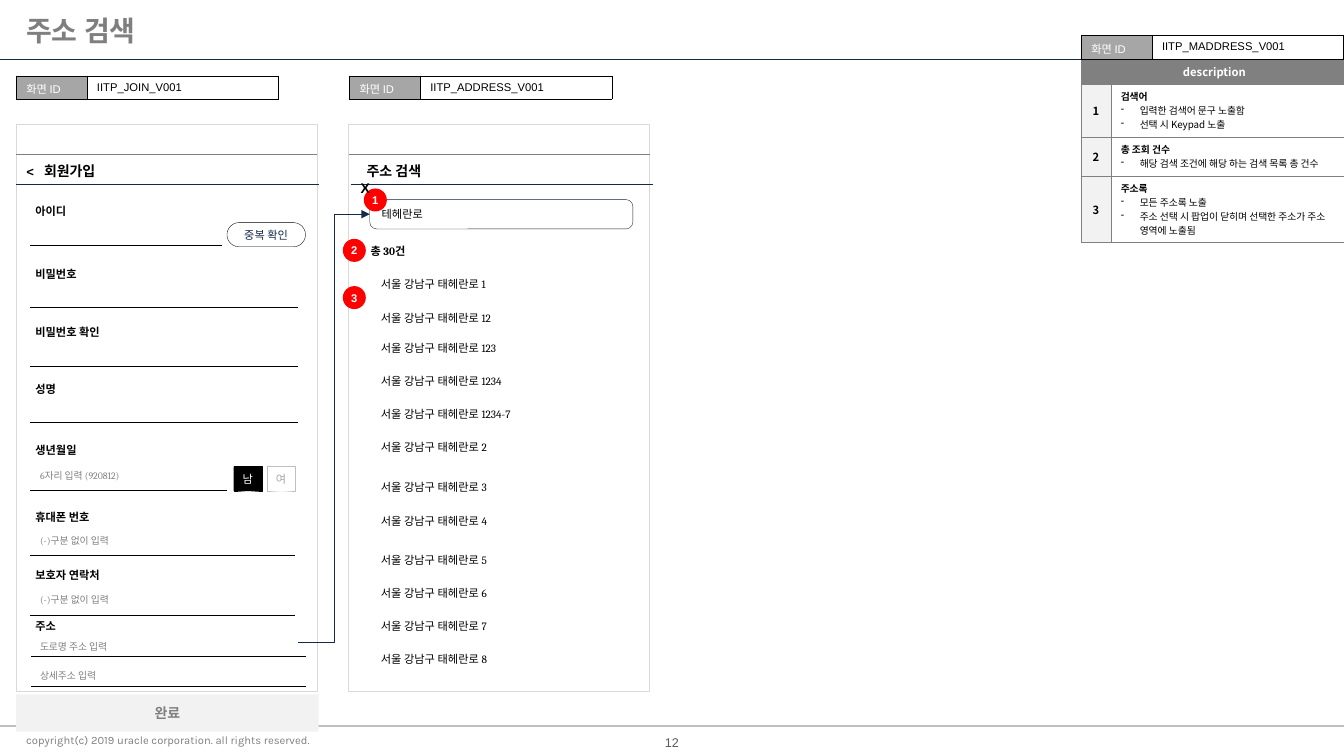
import pptx
import pptx.util
import pptx.dml.color
import pptx.enum.shapes
import pptx.enum.text
import pptx.oxml
import pptx.oxml.ns
from lxml import etree

Cm, Pt, RGB = pptx.util.Cm, pptx.util.Pt, pptx.dml.color.RGBColor
SHAPE = pptx.enum.shapes.MSO_SHAPE
CONNECTOR = pptx.enum.shapes.MSO_CONNECTOR
LEFT, CENTER = pptx.enum.text.PP_ALIGN.LEFT, pptx.enum.text.PP_ALIGN.CENTER
TOP, MIDDLE = pptx.enum.text.MSO_ANCHOR.TOP, pptx.enum.text.MSO_ANCHOR.MIDDLE
qn = pptx.oxml.ns.qn

BLACK, WHITE, RED = RGB(0, 0, 0), RGB(255, 255, 255), RGB(255, 0, 0)
NAVY, DEEP_NAVY, BUTTON_NAVY = RGB(0x15, 0x2A, 0x4B), RGB(0x11, 0x20, 0x37), RGB(0x17, 0x2B, 0x4B)
GRAY, TITLE_GRAY, NUMBER_GRAY = RGB(0x80, 0x80, 0x80), RGB(0x7F, 0x7F, 0x7F), RGB(0x59, 0x59, 0x59)
MID_GRAY, SOFT_GRAY = RGB(0xA6, 0xA6, 0xA6), RGB(0xBF, 0xBF, 0xBF)
PANEL_GRAY, PALE_GRAY = RGB(0xD9, 0xD9, 0xD9), RGB(0xF2, 0xF2, 0xF2)

KOREAN = "Noto Sans CJK KR"
TITLE = dict(name="Quicksand", size=Pt(20), bold=True)
HEADING = dict(name="Cambria", size=Pt(10), bold=True)
CLOSE = dict(name="Arial", size=Pt(10), bold=True)
LABEL = dict(name="Cambria", size=Pt(8), bold=True)
BODY = dict(name="Cambria", size=Pt(8), bold=False)
HINT = dict(name="Cambria", size=Pt(7), bold=False)
MARK = dict(name="Arial", size=Pt(8), bold=True)
SCREEN_ID = dict(name="Arial", size=Pt(8), bold=False)
PAGE = dict(name="Arial", size=Pt(9), bold=False)
COPYRIGHT = dict(name="Karla", size=Pt(8), bold=False)
NOTE_HEAD = dict(name=KOREAN, size=Pt(8), bold=True)
NOTE_TITLE = dict(name=KOREAN, size=Pt(7), bold=True)
NOTE = dict(name=KOREAN, size=Pt(7), bold=False)

deck = pptx.Presentation()
deck.slide_width, deck.slide_height = Cm(33.87), Cm(19.05)
slide = deck.slides.add_slide(deck.slide_layouts[6])


def write(paragraph, text, style, colour, align=LEFT):
    paragraph.alignment = align
    run = paragraph.add_run()
    run.text = text
    for attribute, value in style.items():
        setattr(run.font, attribute, value)
    run.font.color.rgb = colour
    etree.SubElement(run.font._element, qn("a:ea"), typeface=KOREAN)


def add_line(x1, y1, x2, y2, colour, width, kind=CONNECTOR.STRAIGHT):
    line = slide.shapes.add_connector(kind, Cm(x1), Cm(y1), Cm(x2), Cm(y2))
    line.line.color.rgb = colour
    line.line.width = Pt(width)
    etree.SubElement(line._element.spPr, qn("a:effectLst"))
    return line


# Page rules
add_line(0, 18.29, 33.87, 18.29, SOFT_GRAY, 1)
add_line(0, 1.5, 33.87, 1.5, NAVY, 0.75)

# Shapes: kind, corner, box, fill, outline, text, style, text colour, alignment, side inset
RECT, ROUND, OVAL = SHAPE.RECTANGLE, SHAPE.ROUNDED_RECTANGLE, SHAPE.OVAL
parts = [
    (RECT, None, (0.41, 3.15, 7.59, 14.27), WHITE, PANEL_GRAY, "", BODY, BLACK, LEFT, 0),
    (RECT, None, (8.79, 3.15, 7.59, 14.27), WHITE, PANEL_GRAY, "", BODY, BLACK, LEFT, 0),
    (RECT, None, (0.41, 17.5, 7.62, 0.94), PALE_GRAY, None, "완료", HEADING, GRAY, CENTER, 0),
    (ROUND, 0.5, (5.72, 5.61, 1.98, 0.61), WHITE, BLACK, "중복 확인", BODY, BUTTON_NAVY, CENTER, 0),
    (RECT, None, (5.89, 11.76, 0.71, 0.61), BLACK, BLACK, "남", BODY, WHITE, CENTER, 0),
    (RECT, None, (6.73, 11.76, 0.71, 0.61), WHITE, SOFT_GRAY, "여", BODY, MID_GRAY, CENTER, 0),
    (ROUND, 0.23, (9.32, 5.03, 6.63, 0.74), None, DEEP_NAVY, "테헤란로", BODY, BLACK, LEFT, 0.25),
]
for number, (x, y) in enumerate([(9.17, 4.75), (8.64, 6.02), (8.64, 7.21)], 1):
    parts.append((OVAL, None, (x, y, 0.58, 0.58), RED, None, str(number), MARK, WHITE, CENTER, 0))

for kind, corner, box, fill, outline, text, style, colour, align, inset in parts:
    part = slide.shapes.add_shape(kind, *map(Cm, box))
    part.shadow.inherit = False
    if corner is not None:
        part.adjustments[0] = corner
    if fill is None:
        part.fill.background()
    else:
        part.fill.solid()
        part.fill.fore_color.rgb = fill
    if outline is None:
        part.line.fill.background()
    else:
        part.line.color.rgb = outline
        part.line.width = Pt(0.75 if outline == PANEL_GRAY else 0.25)
    if text:
        frame_format = dict(margin_left=Cm(inset), margin_right=Cm(inset), margin_top=0,
                            margin_bottom=0, word_wrap=kind != OVAL, vertical_anchor=MIDDLE)
        for attribute, value in frame_format.items():
            setattr(part.text_frame, attribute, value)
        write(part.text_frame.paragraphs[0], text, style, colour, align)
    if text == "테헤란로":
        search = part

# Panel header rules
for status_x, heading_x in [(0.41, 0.41), (8.79, 8.84)]:
    add_line(status_x, 3.89, status_x + 7.59, 3.89, GRAY, 0.25)
    add_line(heading_x, 4.65, heading_x + 7.62, 4.65, NAVY, 0.25)

# Arrow from the address field to the search box
arrow = add_line(7.52, 16.18, 9.32, 5.4, NAVY, 0.75, CONNECTOR.ELBOW)
arrow.end_connect(search, 1)
etree.SubElement(arrow.line._get_or_add_ln(), qn("a:tailEnd"), type="triangle")

# Text boxes: box, text, style, colour, alignment, anchor
texts = [
    ((0.41, 0.08, 33.1, 1.37), "주소 검색", TITLE, TITLE_GRAY, LEFT, MIDDLE),
    ((0.41, 18.14, 10.34, 1.02), "copyright(c) 2019 uracle corporation. all rights reserved.",
     COPYRIGHT, GRAY, LEFT, MIDDLE),
    ((15.75, 18.39, 2.36, 0.64), "12", PAGE, NUMBER_GRAY, CENTER, MIDDLE),
    ((0.41, 3.96, 1, 0.69), "<", HEADING, BLACK, LEFT, TOP),
    ((0.86, 3.96, 6, 0.69), "회원가입", HEADING, BLACK, LEFT, TOP),
    ((8.99, 3.96, 6, 0.69), "주소 검색", HEADING, BLACK, LEFT, TOP),
    ((8.84, 4.4, 1, 0.69), "X", CLOSE, BLACK, LEFT, TOP),
    ((9.09, 6.02, 5.61, 0.61), "총 30건", LABEL, BLACK, LEFT, TOP),
]

# Join form: label and its top, hint and its top, underline ends and height
fields = [
    ("아이디", 5.03, "", 0, 0.76, 5.59, 6.17),
    ("비밀번호", 6.6, "", 0, 0.76, 7.52, 7.75),
    ("비밀번호 확인", 8.08, "", 0, 0.76, 7.52, 9.22),
    ("성명", 9.5, "", 0, 0.76, 7.52, 10.64),
    ("생년월일", 11.05, "6자리 입력 (920812)", 11.71, 0.76, 5.72, 12.34),
    ("휴대폰 번호", 12.73, "(-)구분 없이 입력", 13.36, 0.76, 7.44, 14),
    ("보호자 연락처", 14.2, "(-)구분 없이 입력", 14.83, 0.76, 7.44, 15.49),
    ("주소", 15.49, "도로명 주소 입력", 16.03, 0.79, 7.72, 16.54),
    ("", 0, "상세주소 입력", 16.76, 0.79, 7.72, 17.3),
]
for label, label_y, hint, hint_y, start, end, underline_y in fields:
    add_line(start, underline_y, end, underline_y, BLACK, 0.25)
    if label:
        texts.append(((0.64, label_y, 3.23, 0.61), label, LABEL, BLACK, LEFT, TOP))
    if hint:
        texts.append(((0.76, hint_y, 3.23, 0.56), hint, HINT, GRAY, LEFT, TOP))

# Address results
results = {"1": 6.86, "12": 7.72, "123": 8.48, "1234": 9.32, "1234-7": 10.13, "2": 10.97,
           "3": 11.99, "4": 12.83, "5": 13.82, "6": 14.66, "7": 15.47, "8": 16.31}
for house, y in results.items():
    texts.append(((9.35, y, 5.61, 0.61), f"서울 강남구 태헤란로 {house}", BODY, BLACK, LEFT, TOP))

for box, text, style, colour, align, anchor in texts:
    frame = slide.shapes.add_textbox(*map(Cm, box)).text_frame
    frame.word_wrap = True
    frame.vertical_anchor = anchor
    write(frame.paragraphs[0], text, style, colour, align)

# Tables: place, column widths, row heights, border
notes = [
    ("검색어", ["입력한 검색어 문구 노출함", "선택 시 Keypad 노출"]),
    ("총 조회 건수", ["해당 검색 조건에 해당 하는 검색 목록 총 건수"]),
    ("주소록", ["모든 주소록 노출", "주소 선택 시 팝업이 닫히며 선택한 주소가 주소 영역에 노출됨"]),
]
layouts = [(27.25, 1.5, (0.74, 5.97), (0.61, 1.35, 0.97, 1.68), GRAY)]
for x, y in [(27.25, 0.89), (0.41, 1.91), (8.81, 1.91)]:
    layouts.append((x, y, (1.78, 4.83), (0.58,), BLACK))
tables = []
for x, y, widths, heights, border in layouts:
    table = slide.shapes.add_table(len(heights), 2, Cm(x), Cm(y), Cm(sum(widths)), Cm(sum(heights))).table
    table.first_row = table.horz_banding = False
    for column, width in zip(table.columns, widths):
        column.width = Cm(width)
    for row, height in zip(table.rows, heights):
        row.height = Cm(height)
    for cell in table.iter_cells():
        cell.fill.background()
        for place, side in enumerate(("lnL", "lnR", "lnT", "lnB")):
            edge = pptx.oxml.parse_xml(
                f'<a:{side} xmlns:a="http://schemas.openxmlformats.org/drawingml/2006/main" w="3175">'
                f'<a:solidFill><a:srgbClr val="{border}"/></a:solidFill></a:{side}>')
            cell._tc.get_or_add_tcPr().insert(place, edge)
    tables.append(table)

# Screen ID cells
for table, screen in zip(tables[1:], ["IITP_MADDRESS_V001", "IITP_JOIN_V001", "IITP_ADDRESS_V001"]):
    caption, value = table.cell(0, 0), table.cell(0, 1)
    caption.fill.solid()
    caption.fill.fore_color.rgb = MID_GRAY
    write(caption.text_frame.paragraphs[0], "화면 ID", SCREEN_ID, WHITE)
    write(value.text_frame.paragraphs[0], screen, SCREEN_ID, BLACK)

# Description cells
description = tables[0]
description.cell(0, 0).merge(description.cell(0, 1))
heads = [("description", GRAY, WHITE)] + [(str(n), PALE_GRAY, BLACK) for n in range(1, len(notes) + 1)]
for row, (text, fill, colour) in enumerate(heads):
    cell = description.cell(row, 0)
    for side in ("left", "right", "top", "bottom"):
        setattr(cell, f"margin_{side}", Cm(0.1))
    cell.vertical_anchor = MIDDLE
    cell.fill.solid()
    cell.fill.fore_color.rgb = fill
    write(cell.text_frame.paragraphs[0], text, NOTE_HEAD, colour, CENTER)
for row, (title, items) in enumerate(notes, 1):
    cell = description.cell(row, 1)
    cell.vertical_anchor = MIDDLE
    write(cell.text_frame.paragraphs[0], title, NOTE_TITLE, BLACK)
    for item in items:
        bullet = cell.text_frame.add_paragraph()
        properties = bullet._p.get_or_add_pPr()
        properties.set("marL", str(Cm(0.48)))
        properties.set("indent", str(-Cm(0.48)))
        etree.SubElement(properties, qn("a:buChar"), char="-")
        write(bullet, item, NOTE, BLACK)

deck.save("out.pptx")
